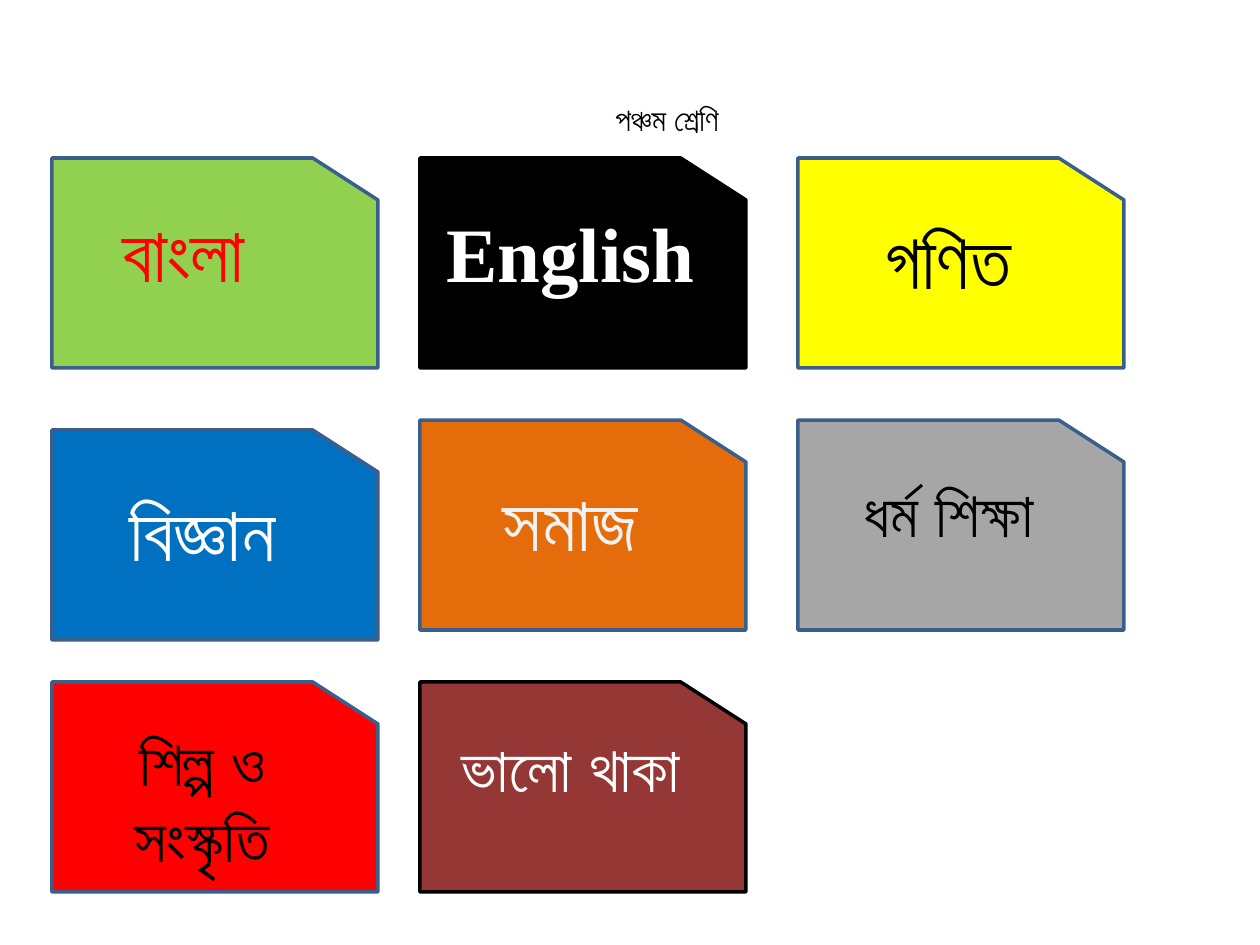
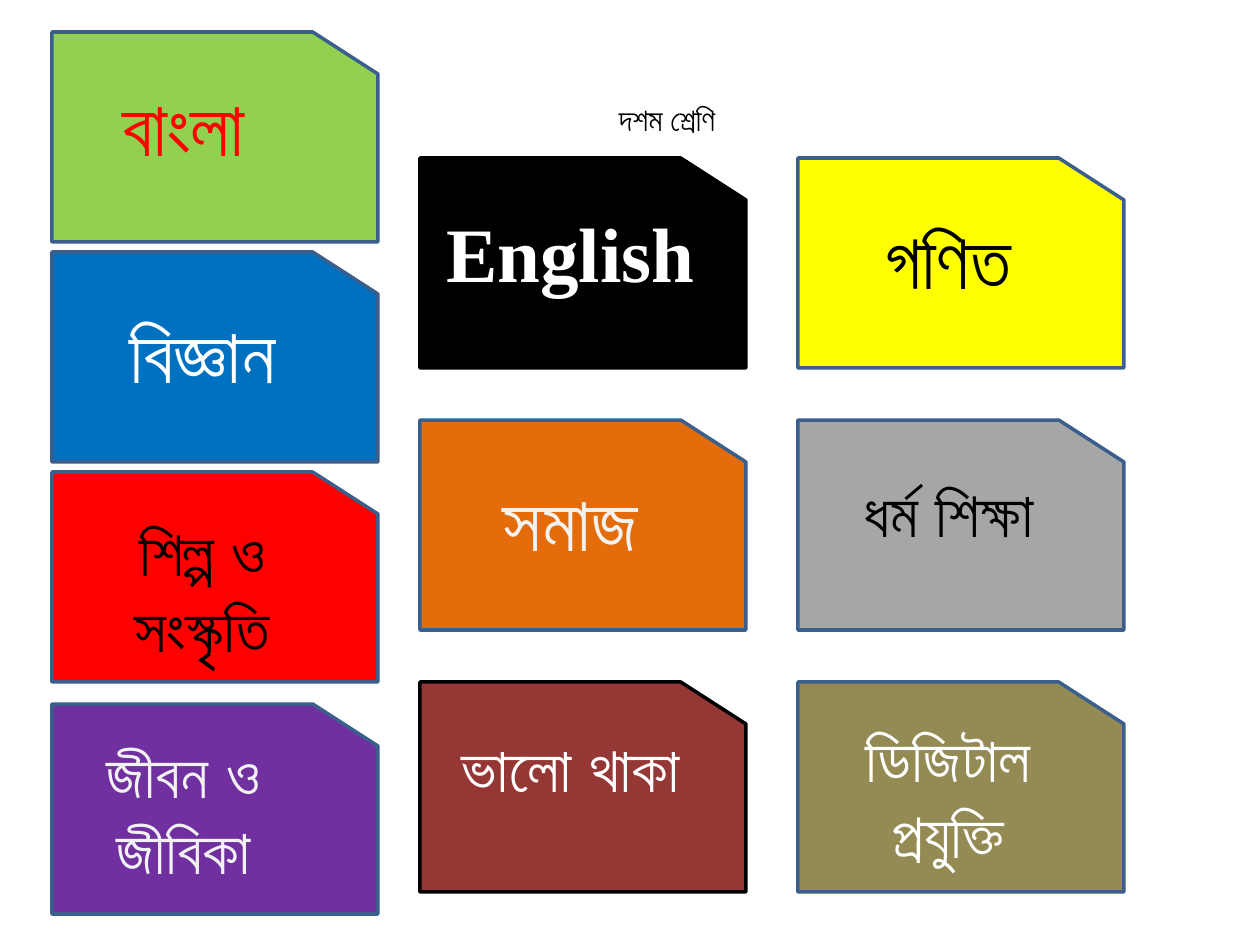
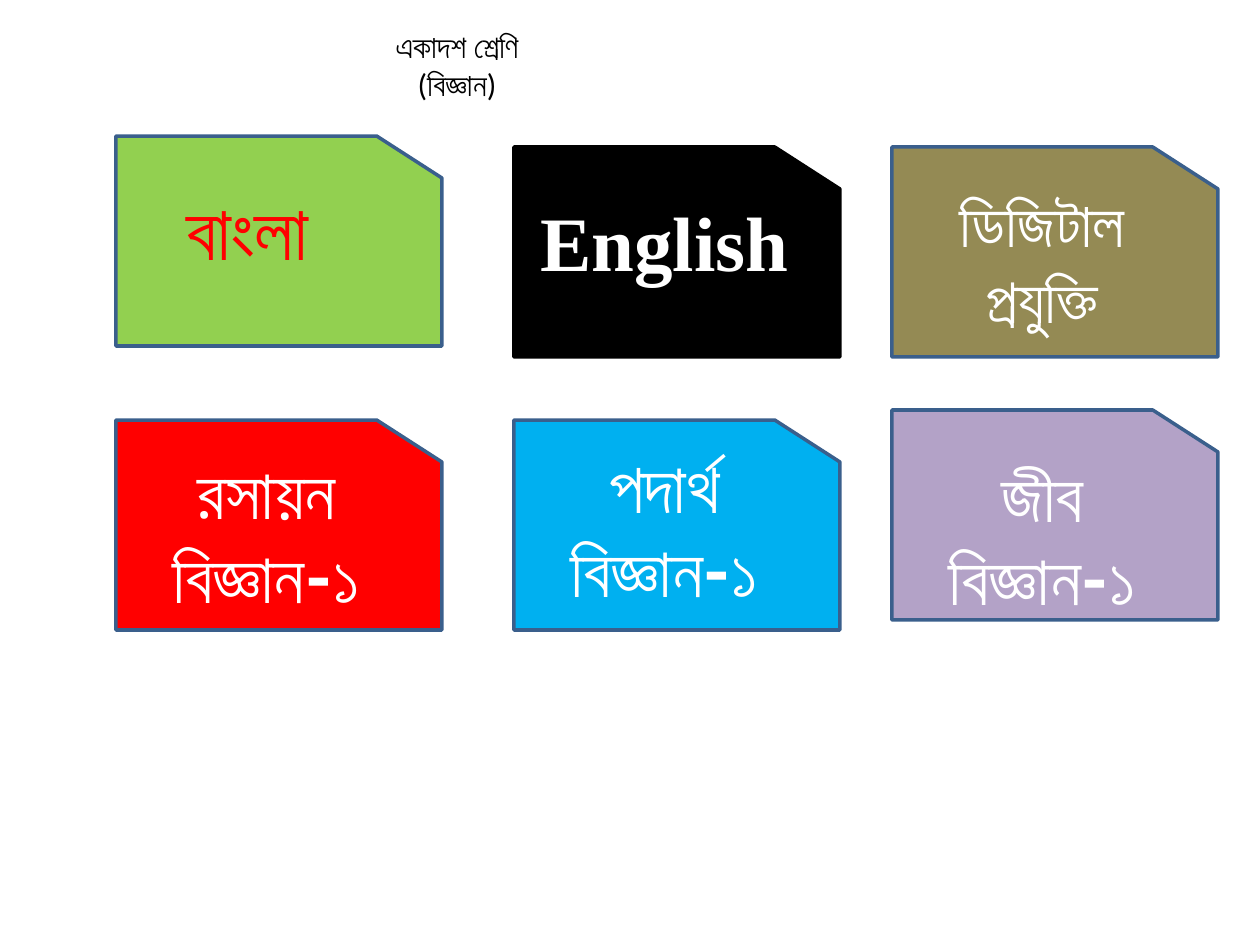
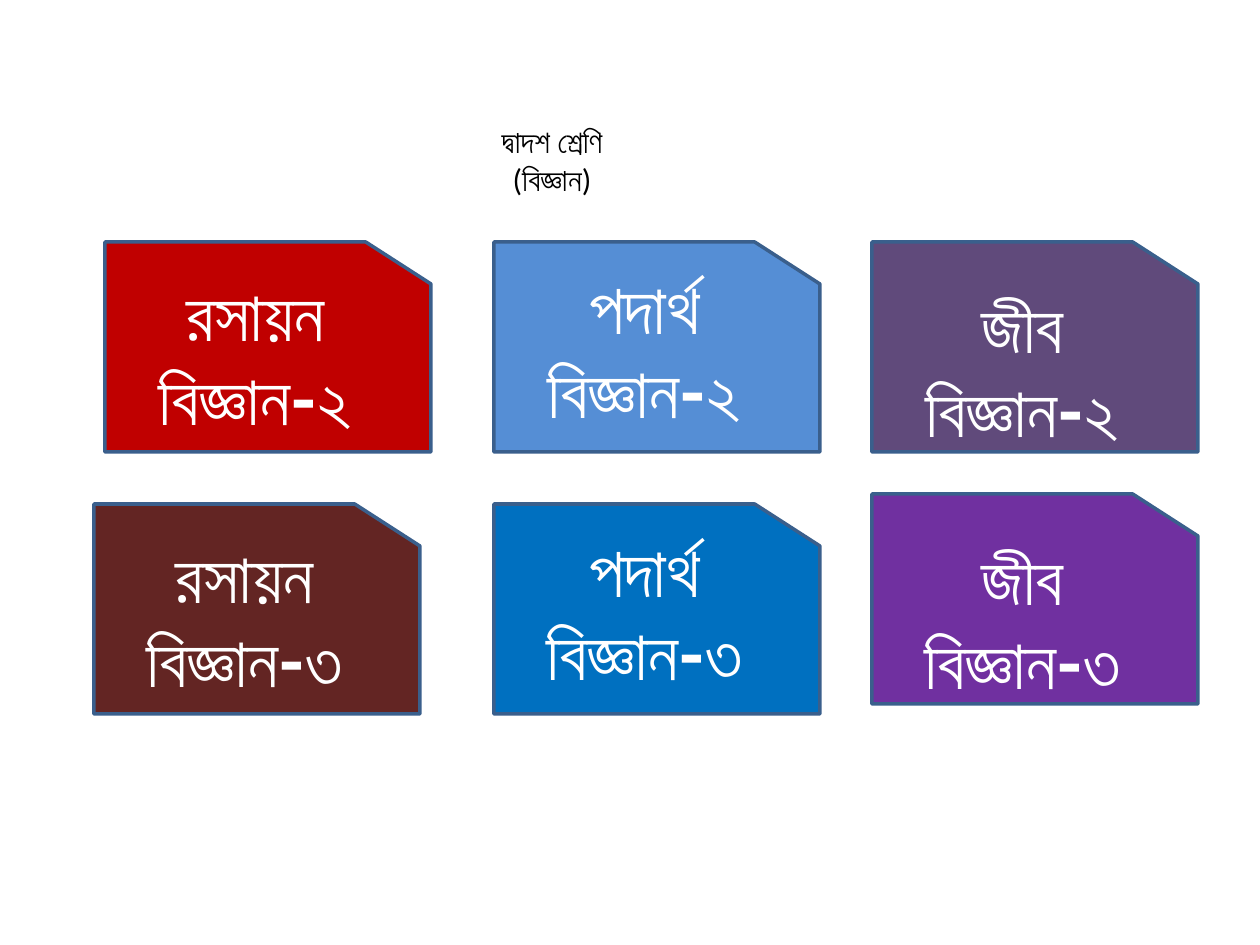
from pptx import Presentation
from pptx.dml.color import RGBColor
from pptx.enum.shapes import MSO_SHAPE
from pptx.enum.text import MSO_ANCHOR as Anchor, MSO_AUTO_SIZE as AutoSize, PP_ALIGN as Align
from pptx.util import Pt

SCALE = 914400 / 126
TITLE_ONLY = 5
COLORS = {
    "black": "000000", "white": "FFFFFF", "pale": "F2F2F2", "outline": "3A5F8C",
    "green": "92D050", "yellow": "FFFF00", "blue": "0070C0", "orange": "E46C0A",
    "gray": "A6A6A6", "red": "FF0000", "brick": "953735", "olive": "948A54",
    "purple": "7030A0", "sky": "00B0F0", "lilac": "B3A2C7", "crimson": "C00000",
    "azure": "558ED5", "plum": "604A7B", "maroon": "632523",
}


def emu(pixels):
    return round(pixels * SCALE)


def color(name):
    return RGBColor.from_string(COLORS[name])


def apply(target, values):
    for name, value in values.items():
        setattr(target, name, value)


class Deck:
    card_size = {"width": 326, "height": 210}
    evenly = (13, 13, 38, 38)
    raised = (13, 0, 38, 38)
    lowered = (13, 38, 38, 38)
    shallow = (13, 6, 38, 6)
    narrow = (13, 6, 76, 6)
    narrow_raised = (13, 0, 76, 38)

    def __init__(self):
        self.presentation = Presentation()
        apply(self.presentation, {"slide_width": emu(1260), "slide_height": emu(945)})
        self.slide = None

    def place(self, shape, **box):
        apply(shape, {name: emu(pixels) for name, pixels in box.items()})

    def set_text(self, shape, lines, font, ink, anchor=Anchor.TOP, insets=(13, 6, 13, 6)):
        frame = shape.text_frame
        sides = ("margin_left", "margin_top", "margin_right", "margin_bottom")
        apply(frame, dict(zip(sides, map(emu, insets))))
        apply(frame, {"text": lines, "word_wrap": True, "auto_size": AutoSize.NONE,
                      "vertical_anchor": anchor})
        for paragraph in frame.paragraphs:
            paragraph.alignment = Align.CENTER
            for run in paragraph.runs:
                apply(run.font, font)
                run.font.color.rgb = color(ink)

    def start(self, title, left, top):
        layout = self.presentation.slide_layouts[TITLE_ONLY]
        self.slide = self.presentation.slides.add_slide(layout)
        shape = self.slide.shapes.title
        height = 89 if "\n" in title else 50
        self.place(shape, left=left, top=top, width=746, height=height)
        self.set_text(shape, title, {"name": "Calibri", "size": Pt(18)}, "black")

    def card(self, left, top, text, fill, ink="white", size=44, insets=evenly,
             anchor=Anchor.TOP, line="outline", face="Roboto"):
        shape = self.slide.shapes.add_shape(MSO_SHAPE.FLOWCHART_CARD, 0, 0, 0, 0)
        self.place(shape, left=left, top=top, **self.card_size)
        shape._element.spPr.get_or_add_xfrm().set("flipH", "1")
        shape.shadow.inherit = False
        shape.fill.solid()
        shape.fill.fore_color.rgb = color(fill)
        shape.line.color.rgb = color(line)
        shape.line.width = Pt(2)
        font = {"name": face, "size": Pt(size), "bold": True}
        self.set_text(shape, text, font, ink, anchor, insets)

    def subject(self, name, left, top):
        self.card(left, top, **SUBJECTS[name])

    def science(self, name, part, fill, left, top):
        text, insets = SCIENCES[name]
        self.card(left, top, f"{text} বিজ্ঞান-{part}", fill, size=40, insets=insets,
                  anchor=Anchor.MIDDLE)


SUBJECTS = {
    "bangla": dict(text="বাংলা", fill="green", ink="red", insets=Deck.narrow),
    "english": dict(text="English", fill="black", line="black", insets=Deck.shallow,
                    face="Times New Roman"),
    "math": dict(text="গণিত", fill="yellow", ink="black"),
    "science": dict(text="বিজ্ঞান", fill="blue"),
    "society": dict(text="সমাজ", fill="orange", ink="pale"),
    "religion": dict(text="ধর্ম শিক্ষা", fill="gray", ink="black", size=36),
    "art": dict(text="শিল্প ও সংস্কৃতি", fill="red", ink="black", size=36,
                insets=Deck.raised),
    "wellbeing": dict(text="ভালো থাকা", fill="brick", size=36, line="black",
                      insets=Deck.shallow),
    "digital": dict(text="ডিজিটাল প্রযুক্তি", fill="olive", size=36,
                    anchor=Anchor.MIDDLE),
    "livelihood": dict(text="জীবন ও জীবিকা", fill="purple", ink="pale", size=36,
                       insets=Deck.narrow_raised, anchor=Anchor.MIDDLE),
}
SCIENCES = {
    "chemistry": ("রসা\u09dfন", Deck.evenly),
    "physics": ("পদার্থ", Deck.raised),
    "biology": ("জীব", Deck.lowered),
}
COLUMNS = (52, 420, 798)
ROWS = (158, 420, 682)
SHARED_COLUMNS = (("english", "society", "wellbeing"), ("math", "religion"))

deck = Deck()

SCHOOL_CLASSES = (
    ("পঞ্চম শ্রেণি", {"bangla": 158, "science": 430, "art": 682}),
    ("দশম শ্রেণি", {"bangla": 32, "science": 252, "art": 472, "livelihood": 704}),
)
for title, first_column in SCHOOL_CLASSES:
    deck.start(title, 294, 94)
    for name, top in first_column.items():
        deck.subject(name, COLUMNS[0], top)
    for left, names in zip(COLUMNS[1:], SHARED_COLUMNS):
        for name, top in zip(names, ROWS):
            deck.subject(name, left, top)
deck.subject("digital", COLUMNS[2], ROWS[2])

deck.start("একাদশ শ্রেণি\n(বিজ্ঞান)", 84, 21)
for name, left, top in (("bangla", 116, 136), ("english", 514, 147), ("digital", 892, 147)):
    deck.subject(name, left, top)
for name, fill, left, top in (("chemistry", "red", 116, 420), ("physics", "sky", 514, 420),
                              ("biology", "lilac", 892, 410)):
    deck.science(name, "১", fill, left, top)

deck.start("দ্বাদশ শ্রেণি\n(বিজ্ঞান)", 179, 116)
for name, part, fill, left, top in (
    ("chemistry", "২", "crimson", 105, 242), ("chemistry", "৩", "maroon", 94, 504),
    ("physics", "২", "azure", 494, 242), ("physics", "৩", "blue", 494, 504),
    ("biology", "২", "plum", 872, 242), ("biology", "৩", "purple", 872, 494),
):
    deck.science(name, part, fill, left, top)

deck.presentation.save("out.pptx")
